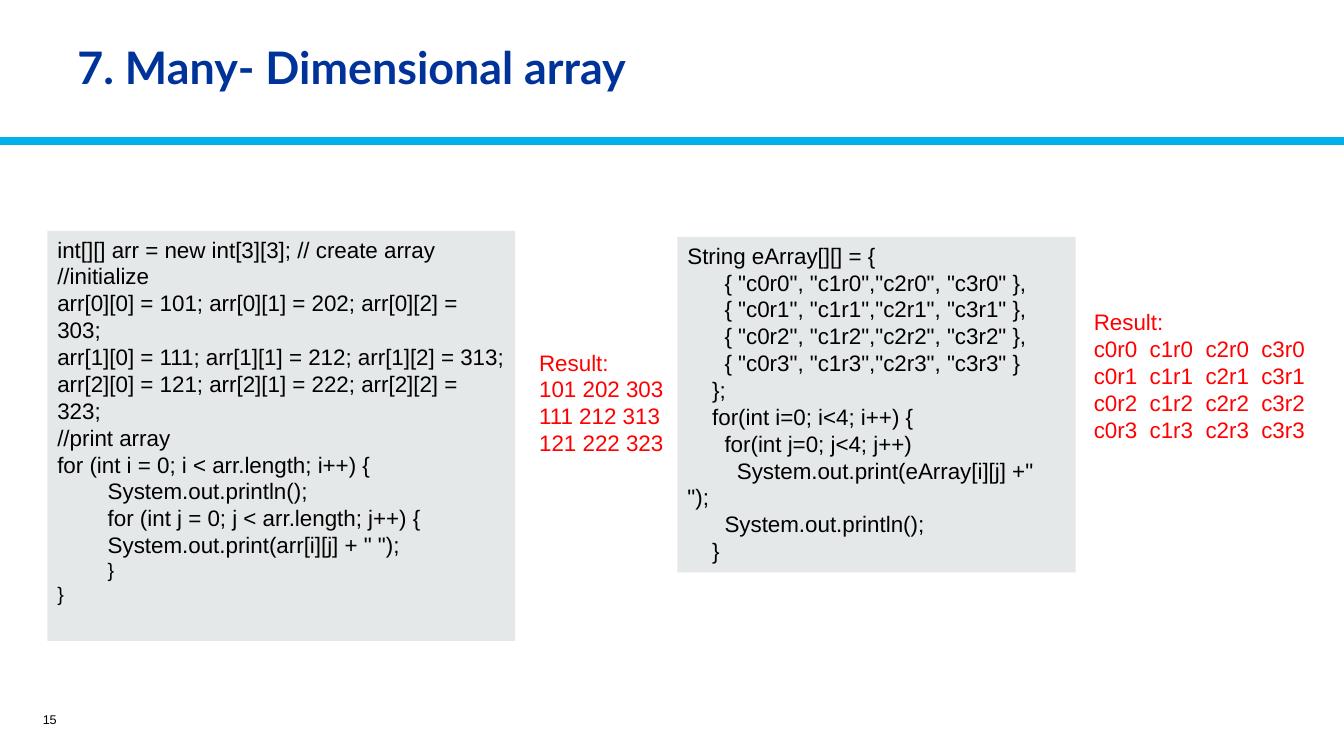
from dataclasses import dataclass

from lxml import etree
from pptx import Presentation
from pptx.dml.color import RGBColor
from pptx.enum.shapes import MSO_CONNECTOR, MSO_SHAPE
from pptx.enum.text import MSO_ANCHOR, PP_ALIGN
from pptx.oxml.ns import qn
from pptx.util import Inches, Pt

STRAIGHT = MSO_CONNECTOR.STRAIGHT
RECTANGLE = MSO_SHAPE.RECTANGLE
TOP, MIDDLE = MSO_ANCHOR.TOP, MSO_ANCHOR.MIDDLE
LEFT, RIGHT = PP_ALIGN.LEFT, PP_ALIGN.RIGHT

WHITE = RGBColor(0xFF, 0xFF, 0xFF)
BLACK = RGBColor(0x00, 0x00, 0x00)
NAVY = RGBColor(0x00, 0x33, 0x99)
CYAN = RGBColor(0x00, 0xB0, 0xEA)
RED = RGBColor(0xFF, 0x00, 0x00)
CODE_GREY = RGBColor(0xE5, 0xE8, 0xE8)

SLIDE_W, SLIDE_H = Inches(13.33), Inches(7.5)
RULE_Y = 18.67


@dataclass(frozen=True)
class Area:
    """Percentages of the slide's width and height."""
    x: float
    y: float
    w: float
    h: float

    def emu(self) -> tuple[int, int, int, int]:
        return across(self.x), down(self.y), across(self.w), down(self.h)


@dataclass(frozen=True)
class Example:
    code_area: Area
    code: str
    result_area: Area
    result: str
    small_tail: int = 0


FILL_CODE = """int[][] arr = new int[3][3]; // create array
//initialize
arr[0][0] = 101; arr[0][1] = 202; arr[0][2] = 303;
arr[1][0] = 111; arr[1][1] = 212; arr[1][2] = 313;
arr[2][0] = 121; arr[2][1] = 222; arr[2][2] = 323;
//print array
for (int i = 0; i < arr.length; i++) {
\tSystem.out.println();
\tfor (int j = 0; j < arr.length; j++) {
\tSystem.out.print(arr[i][j] + " ");
\t}
}"""

LITERAL_CODE = """String eArray[][] = {
      { "c0r0", "c1r0","c2r0", "c3r0" },
      { "c0r1", "c1r1","c2r1", "c3r1" },
      { "c0r2", "c1r2","c2r2", "c3r2" },
      { "c0r3", "c1r3","c2r3", "c3r3" }
    };
    for(int i=0; i<4; i++) {
      for(int j=0; j<4; j++)
        System.out.print(eArray[i][j] +"  ");
      System.out.println();
    }"""

FILL_RESULT = "Result:\n101 202 303\n111 212 313\n121 222 323"
LITERAL_RESULT = "\n".join(
    ["Result:"] + ["  ".join(f"c{c}r{r}" for c in range(4)) for r in range(4)])

EXAMPLES = [
    Example(Area(3.53, 30.53, 34.81, 54.27), FILL_CODE,
            Area(39.38, 45.47, 11.1, 15.73), FILL_RESULT, small_tail=2),
    Example(Area(50.41, 31.33, 29.63, 44.4), LITERAL_CODE,
            Area(80.65, 40.13, 18, 19.33), LITERAL_RESULT),
]


def across(percent: float) -> int:
    return round(SLIDE_W * percent / 100)


def down(percent: float) -> int:
    return round(SLIDE_H * percent / 100)


def write(s, text: str, *, size: float = 16, color: RGBColor = BLACK,
          font: str = "Arial", bold: bool = False, align: PP_ALIGN = LEFT,
          anchor: MSO_ANCHOR = TOP, spacing: float = 1.0,
          small_tail: int = 0) -> None:
    tf = s.text_frame
    tf.word_wrap = True
    tf.vertical_anchor = anchor
    lines = text.split("\n")
    for i, line in enumerate(lines):
        p = tf.add_paragraph() if i else tf.paragraphs[0]
        p.alignment = align
        p.line_spacing = spacing
        r = p.add_run()
        r.text = line
        r.font.name = font
        r.font.size = Pt(14 if i >= len(lines) - small_tail else size)
        r.font.bold = bold
        r.font.color.rgb = color


def add_text(slide, area: Area, text: str, **style) -> None:
    write(slide.shapes.add_textbox(*area.emu()), text, **style)


def add_code(slide, area: Area, code: str, small_tail: int) -> None:
    s = slide.shapes.add_shape(RECTANGLE, *area.emu())
    s.shadow.inherit = False
    s.fill.solid()
    s.fill.fore_color.rgb = CODE_GREY
    s.line.fill.background()
    write(s, code, small_tail=small_tail)


def add_rule(slide) -> None:
    s = slide.shapes.add_connector(
        STRAIGHT, 0, down(RULE_Y), SLIDE_W, down(RULE_Y))
    s.line.color.rgb = CYAN
    s.line.width = Pt(6)
    etree.SubElement(s._element.spPr, qn("a:effectLst"))


def main() -> None:
    prs = Presentation()
    prs.slide_width, prs.slide_height = SLIDE_W, SLIDE_H
    slide = prs.slides.add_slide(prs.slide_layouts[6])
    slide.background.fill.solid()
    slide.background.fill.fore_color.rgb = WHITE

    add_rule(slide)
    add_text(slide, Area(5.03, 1.87, 90.17, 14.8),
             "7. Many- Dimensional array", size=32, color=NAVY, font="Lato",
             bold=True, anchor=MIDDLE, spacing=0.9)
    add_text(slide, Area(0.68, 93.2, 4.28, 4), "15", size=9,
             align=RIGHT, anchor=MIDDLE)
    for example in EXAMPLES:
        add_code(slide, example.code_area, example.code, example.small_tail)
        add_text(slide, example.result_area, example.result, color=RED)

    prs.save("out.pptx")


if __name__ == "__main__":
    main()
